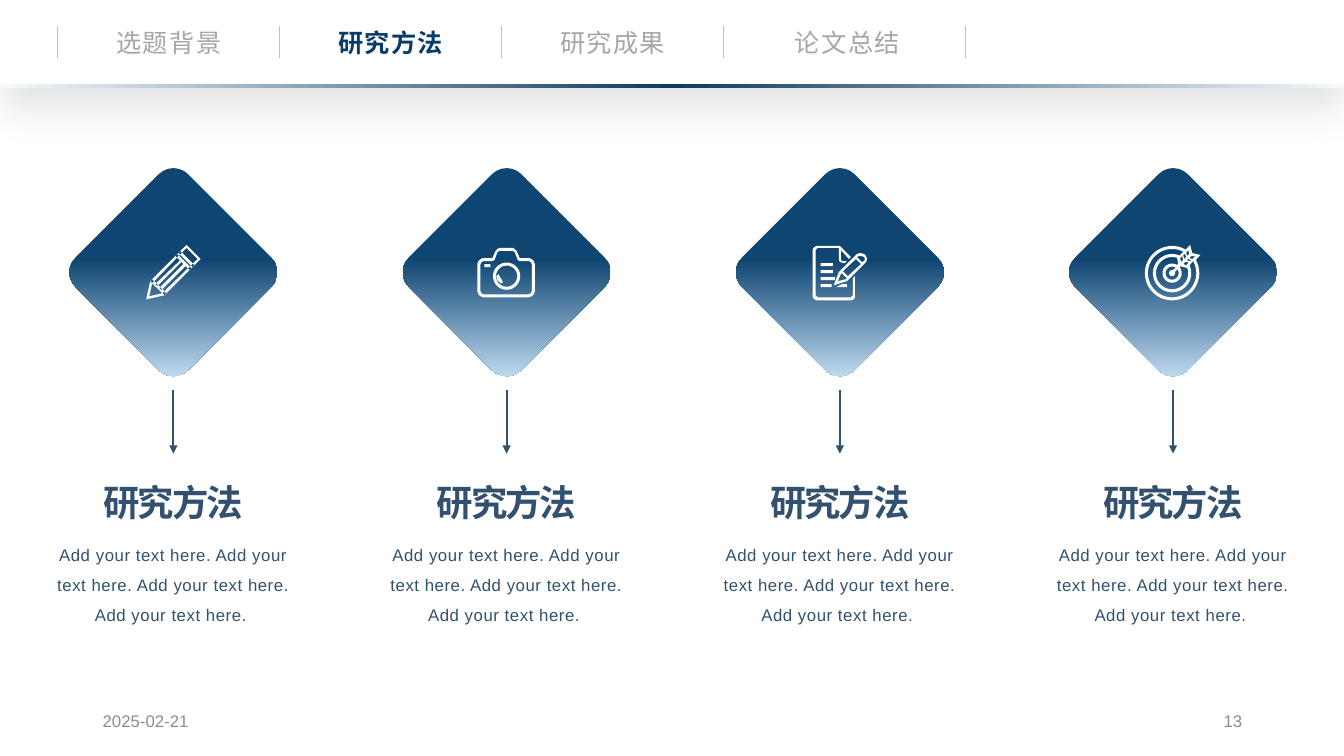
from math import cos, radians, sin

from pptx import Presentation
from pptx.dml.color import RGBColor
from pptx.enum.shapes import MSO_CONNECTOR, MSO_SHAPE
from pptx.enum.text import MSO_ANCHOR, PP_ALIGN
from pptx.oxml import parse_xml
from pptx.oxml.ns import nsdecls
from pptx.util import Inches, Pt

NAVY = "31516E"
color = RGBColor.from_string

deck = Presentation()
deck.slide_width, deck.slide_height = Inches(13.33), Inches(7.5)
page = deck.slides.add_slide(deck.slide_layouts[6])
shapes = page.shapes


def add_text(text, left, top, width, height, size, hex_color, align=PP_ALIGN.CENTER,
             bold=False, spacing=0, wrap=True):
    box = shapes.add_textbox(Inches(left), Inches(top), Inches(width), Inches(height))
    box.text_frame.word_wrap = wrap
    para = box.text_frame.paragraphs[0]
    para.text = text
    para.alignment = align
    span = para.runs[0]
    span.font.name, span.font.size, span.font.bold = "Arial", Pt(size), bold
    span.font.color.rgb = color(hex_color)
    if spacing:
        span.font._element.set("spc", str(round(spacing * 100)))
    return box


def arc(x, y, radius, start, end):
    """Points along an arc, clockwise in degrees when end exceeds start."""
    steps = max(4, round(abs(end - start) / 8))
    angles = [radians(start + (end - start) * i / steps) for i in range(steps + 1)]
    return [(x + radius * cos(a), y + radius * sin(a)) for a in angles]


# Icon outlines, in hundredths of an inch from the middle of the diamond
pencil = [
    [(13, -28), (-23, 8), (-27, 26), (-9, 22), (27, -14)],
    [(13, -25), (24, -14), (-11, 20), (-24, 23), (-21, 10)],
    [(7, -22), (5, -20), (19, -6), (21, -8)],
    [(4, -19), (2, -17), (16, -3), (18, -5)],
    [(-21, 6), (-23, 8), (-9, 22), (-7, 20)],
    [(7, -13), (-18, 11), (-16, 13), (8, -11)],
    [(10, -9), (-14, 15), (-12, 17), (12, -7)],
]
camera = [
    [*arc(-22, -8, 7, 180, 270), (-14, -15), (-11, -22), (-9, -24), (-7, -25), (6, -25),
     (8, -24), (10, -22), (13, -15), *arc(21, -8, 7, 270, 360), *arc(21, 17, 7, 0, 90),
     *arc(-22, 17, 7, 90, 180)],
    [*arc(-22, -8, 4, 180, 270), (-14, -12), (-12, -13), (-9, -21), (-7, -22), (6, -22),
     (8, -21), (11, -13), (13, -12), *arc(21, -8, 4, 270, 360), *arc(21, 17, 4, 0, 90),
     *arc(-22, 17, 4, 90, 180)],
    arc(0, 3, 13.5, 0, 360),
    arc(0, 3, 10.5, 0, 360),
    [(-4, 8), (-7, 3), (-8, 1), (-10, 3), (-9, 7), (-6, 10), (-4, 10)],
    [(-22, -9), (-16, -9), (-16, -6), (-22, -6)],
]
document = [
    [(1, -23), (1, -14), (2, -12), (4, -12), (7, -12), (5, -10), (4, -10), (0, -11),
     (-1, -14), (-1, -25), (-22, -25), (-24, -23), (-24, 22), (-22, 24), (11, 24), (13, 22),
     (13, 5), (15, 3), *arc(11, 23, 4, 0, 90), *arc(-22, 22, 5, 90, 180),
     *arc(-22, -22, 5, 180, 270), (0, -27), (11, -16), (9, -14)],
    [(26, -11), (7, 8), (-6, 12), (-1, -1), (17, -19), (20, -20), (24, -19), (26, -17),
     (27, -14)],
    [(-2, 8), (6, 6), (7, 5), (2, 0), (1, 1)],
    [(3, -2), (8, 3), (21, -9), (16, -14)],
    [(24, -16), (22, -17), (19, -17), (17, -16), (22, -11), (24, -12), (25, -14)],
    [(7, 11), (7, 14), (-4, 14), (2, 11)],
]
for right, line_top in [(-7, -10), (-7, -3), (-5, 4), (-8, 11)]:
    document.append([(-19, line_top), (right, line_top), (right, line_top + 3),
                     (-19, line_top + 3)])
target = [
    [*arc(-1, 0, 27, -29, 300), (17, -28), (19, -20), (27, -18)],
    [*arc(-1, 0, 24, -30, 298), (6, -17), *arc(-1, 0, 19, 293, -24)],
    [*arc(-1, 0, 16, -18, 288), (5, -9), *arc(-1, 0, 9.5, 300, -35), (7, -7)],
    [*arc(-1, 0, 6.5, -37, 306), *arc(-1, 0, 3, 280, -20)],
    [(11, -14), (10, -18), (12, -19), (13, -16)],
    [(9, -17), (10, -13), (8, -11), (7, -15)],
    [(15, -10), (13, -8), (10, -9), (12, -11), (15, -11)],
    [(17, -12), (13, -13), (15, -14), (18, -13)],
    [(19, -14), (16, -15), (18, -17), (22, -17)],
    [(16, -19), (14, -17), (13, -20), (15, -23)],
]

# Footer
for text, left, align in [("2025-02-21", 0.92, PP_ALIGN.LEFT), ("13", 9.42, PP_ALIGN.RIGHT)]:
    footer = add_text(text, left, 6.95, 3, 0.4, 12, "8C8C8C", align)
    footer.text_frame.vertical_anchor = MSO_ANCHOR.MIDDLE

# Four columns: diamond, icon, arrow, heading and body
gradients = []
connectors = []
for column, icon in enumerate([pencil, camera, document, target]):
    center = 1.72 + 3.305 * column
    diamond = shapes.add_shape(MSO_SHAPE.ROUNDED_RECTANGLE, Inches(center - 0.79),
                               Inches(1.91), Inches(1.58), Inches(1.58))
    diamond.adjustments[0] = 0.13
    diamond.rotation = 45
    gradients.append((diamond, [(44, "0F4571"), (100, "C9E3F8")], 45))

    builder = None
    for outline in icon:
        points = [(Inches(center + x / 100), Inches(2.71 + y / 100)) for x, y in outline]
        if builder is None:
            builder = shapes.build_freeform(*points[0])
        else:
            builder.move_to(*points[0])
        builder.add_line_segments(points[1:], close=True)
    symbol = builder.convert_to_shape()
    symbol.shadow.inherit = False
    symbol.fill.solid()
    symbol.fill.fore_color.rgb = color("FFFFFF")
    symbol.line.fill.background()

    arrow = shapes.add_connector(MSO_CONNECTOR.STRAIGHT, Inches(center), Inches(3.87),
                                 Inches(center), Inches(4.5))
    arrow.line.color.rgb = color(NAVY)
    arrow.line.width = Pt(1.5)
    arrow.line._get_or_add_ln().append(
        parse_xml(f'<a:tailEnd {nsdecls("a")} type="triangle"/>'))
    connectors.append(arrow)

    add_text("研究方法", center - 1.4, 4.71, 2.8, 0.54, 26, NAVY, bold=True, spacing=-1.5)
    body = add_text("Add your text here. Add your text here. Add your text here. "
                    "Add your text here. ", center - 1.29, 5.25, 2.58, 1.01, 12, NAVY,
                    spacing=0.4)
    body.text_frame.paragraphs[0].line_spacing = 1.5

# Header band with a soft shadow
band = shapes.add_shape(MSO_SHAPE.RECTANGLE, 0, Inches(-0.01), Inches(13.33), Inches(0.87))
band.fill.solid()
band.fill.fore_color.rgb = color("FFFFFF")
band.line.fill.background()
band.shadow.inherit = False
band._element.spPr[-1].append(parse_xml(
    f'<a:outerShdw {nsdecls("a")} blurRad="{Pt(28)}" dist="{Pt(15)}" dir="5400000" '
    'algn="t" rotWithShape="0"><a:srgbClr val="000000"><a:alpha val="11000"/></a:srgbClr>'
    '</a:outerShdw>'))

# Navigation
for x in [0.57, 2.77, 4.97, 7.17, 9.57]:
    divider = shapes.add_connector(MSO_CONNECTOR.STRAIGHT, Inches(x), Inches(0.26),
                                   Inches(x), Inches(0.58))
    divider.line.color.rgb = color("BFBFBF")
    divider.line.width = Pt(0.5)
    connectors.append(divider)
for label, left in [("选题背景", 1.04), ("研究方法", 3.24), ("研究成果", 5.44), ("论文总结", 7.77)]:
    current = label == "研究方法"
    add_text(label, left, 0.22, 1.27, 0.4, 18, "0A3C69" if current else "A6A6A6",
             bold=current, spacing=1, wrap=False)

# Rule under the header
rule = shapes.add_shape(MSO_SHAPE.RECTANGLE, 0, Inches(0.83), Inches(13.33), Inches(0.04))
gradients.append((rule, [(0, "F4FAFF"), (50, "0D3B61"), (100, "F4FAFF")], 0))

# Gradient fills and flat connectors
for shape, stops, angle in gradients:
    shape.shadow.inherit = False
    shape.line.fill.background()
    stop_xml = "".join(f'<a:gs pos="{position * 1000}"><a:srgbClr val="{value}"/></a:gs>'
                       for position, value in stops)
    shape._element.spPr.insert(2, parse_xml(
        f'<a:gradFill {nsdecls("a")} rotWithShape="1"><a:gsLst>{stop_xml}</a:gsLst>'
        f'<a:lin ang="{angle * 60000}" scaled="0"/></a:gradFill>'))
for connector in connectors:
    connector._element.spPr.append(parse_xml(f'<a:effectLst {nsdecls("a")}/>'))

deck.save("out.pptx")
